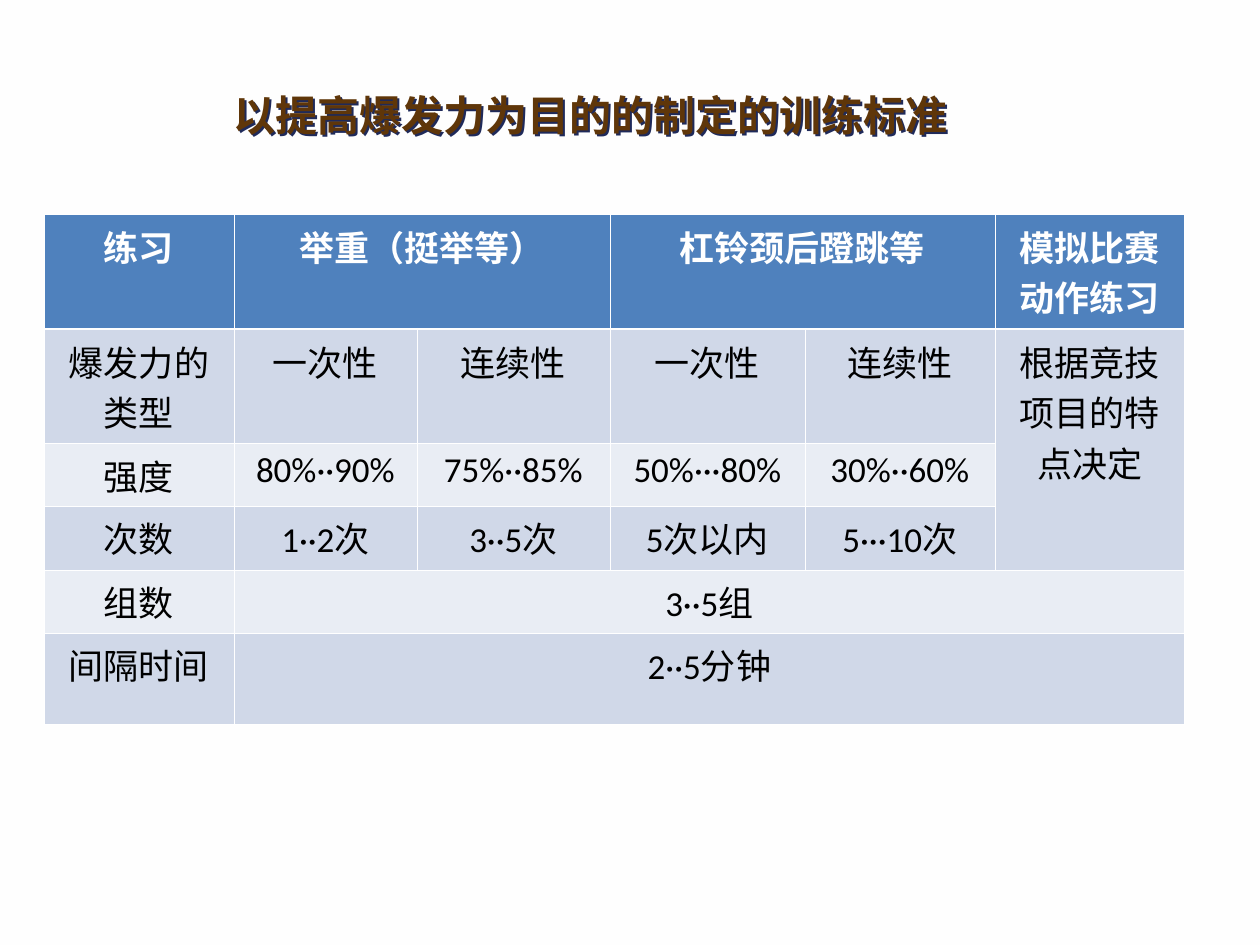
import pptx
import pptx.dml.color
import pptx.enum.shapes
import pptx.enum.text
import pptx.util
from lxml import etree

PX = 914400 // 126
FONT = "Calibri"
CJK_FONT = "Noto Sans CJK SC"
NS = "http://schemas.openxmlformats.org/drawingml/2006/main"


def color(value):
    return pptx.dml.color.RGBColor.from_string(value)


def write_run(paragraph, text, size, font_name, hex_color, bold):
    """Add a centred run with matching Latin and East Asian fonts."""
    paragraph.alignment = pptx.enum.text.PP_ALIGN.CENTER
    run = paragraph.add_run()
    run.text = text
    run.font.size = pptx.util.Pt(size)
    run.font.bold = bold
    run.font.color.rgb = color(hex_color)
    run.font.name = font_name
    latin = run.font._element.find(f"{{{NS}}}latin")
    latin.addnext(etree.fromstring(f'<a:ea xmlns:a="{NS}" typeface="{CJK_FONT}"/>'))


presentation = pptx.Presentation()
presentation.slide_width = pptx.util.Inches(10)
presentation.slide_height = pptx.util.Inches(7.5)
slide = presentation.slides.add_slide(presentation.slide_layouts[6])

backdrop = slide.shapes.add_shape(
    pptx.enum.shapes.MSO_SHAPE.RECTANGLE, 0, 0,
    presentation.slide_width, presentation.slide_height)
backdrop.shadow.inherit = False
backdrop.fill.solid()
backdrop.fill.fore_color.rgb = color("FEFEFE")
backdrop.line.fill.background()

# Title with a shadow; the deep bottom inset lifts the line
title = slide.shapes.add_textbox(5 * PX, 106 * PX, 1171 * PX, 68 * PX)
title._element.spPr.append(etree.fromstring(
    f'<a:effectLst xmlns:a="{NS}"><a:outerShdw dist="17961" dir="2700000">'
    '<a:srgbClr val="1F2A5A"/></a:outerShdw></a:effectLst>'))
frame = title.text_frame
frame.word_wrap = True
frame.vertical_anchor = pptx.enum.text.MSO_ANCHOR.MIDDLE
frame.margin_top = 6 * PX
frame.margin_bottom = 57 * PX
write_run(frame.paragraphs[0], "以提高爆发力为目的的制定的训练标准",
          24, CJK_FONT, "5F3609", True)

# Training table: None marks a cell covered by a merge
rows = [
    ["练习", "举重（挺举等）", None, "杠铃颈后蹬跳等", None, "模拟比赛动作练习"],
    ["爆发力的类型", "一次性", "连续性", "一次性", "连续性", "根据竞技项目的特点决定"],
    ["强度", "80%··90%", "75%··85%", "50%···80%", "30%··60%", None],
    ["次数", "1··2次", "3··5次", "5次以内", "5···10次", None],
    ["组数", "3··5组", None, None, None, None],
    ["间隔时间", "2··5分钟", None, None, None, None],
]
column_widths = [190, 183, 193, 195, 190, 190]
row_heights = [115, 114, 63, 64, 63, 92]
merges = [((0, 1), (0, 2)), ((0, 3), (0, 4)), ((1, 5), (3, 5)),
          ((4, 1), (4, 5)), ((5, 1), (5, 5))]

table = slide.shapes.add_table(
    len(rows), len(column_widths), 44 * PX, 214 * PX,
    sum(column_widths) * PX, sum(row_heights) * PX).table
for column, width in zip(table.columns, column_widths):
    column.width = width * PX
for row, height in zip(table.rows, row_heights):
    row.height = height * PX
for first, last in merges:
    table.cell(*first).merge(table.cell(*last))

for row_index, texts in enumerate(rows):
    header = row_index == 0
    fill = "4F81BD" if header else ("E9EDF4", "D0D8E8")[row_index % 2]
    for column_index, text in enumerate(texts):
        cell = table.cell(row_index, column_index)
        cell.fill.solid()
        cell.fill.fore_color.rgb = color(fill)
        heavy_side = {0: "B", 1: "T"}.get(row_index)
        properties = cell._tc.get_or_add_tcPr()
        for position, side in enumerate("LRTB"):
            width = 18669 if side == heavy_side else 5715
            properties.insert(position, etree.fromstring(
                f'<a:ln{side} xmlns:a="{NS}" w="{width}"><a:solidFill>'
                f'<a:srgbClr val="FFFFFF"/></a:solidFill></a:ln{side}>'))
        if text:
            write_run(cell.text_frame.paragraphs[0], text, 20, FONT,
                      "FFFFFF" if header else "000000", header)

presentation.save("out.pptx")
